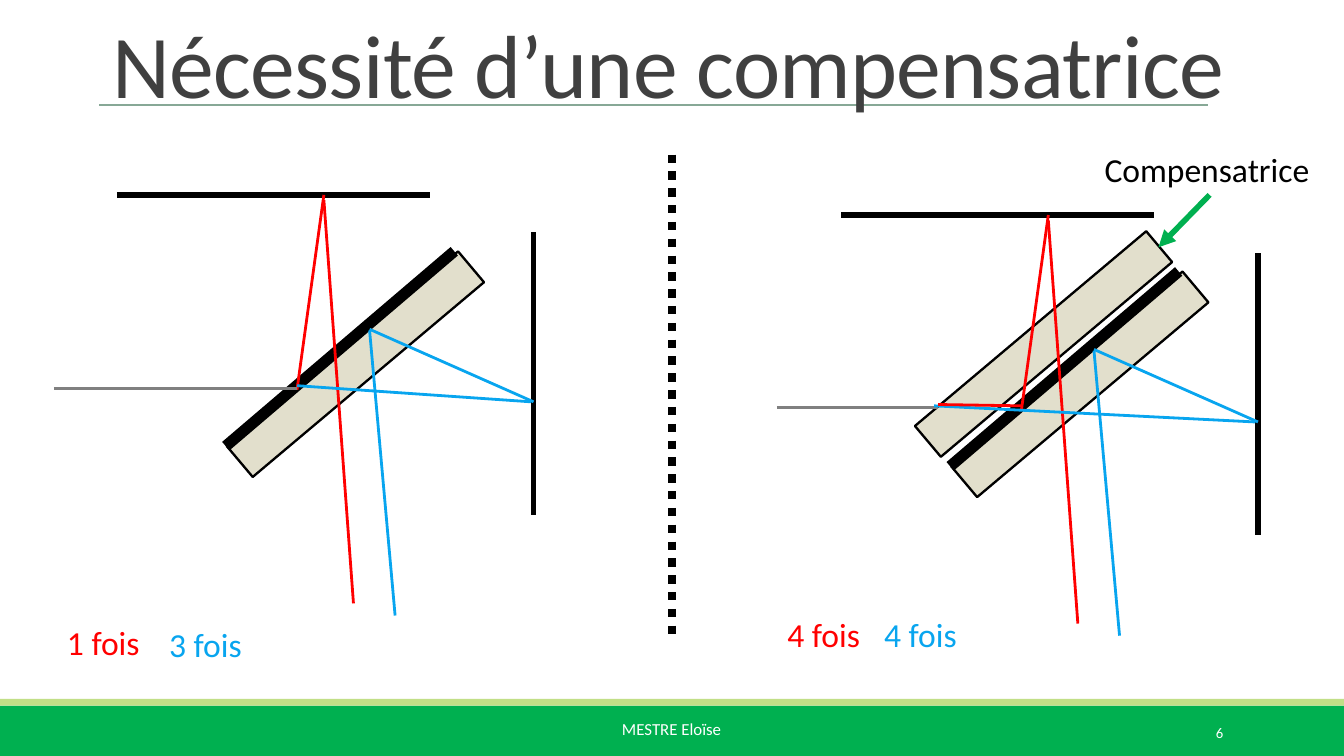
from lxml import etree
from pptx import Presentation
from pptx.dml.color import RGBColor
from pptx.enum.dml import MSO_LINE
from pptx.enum.shapes import MSO_CONNECTOR, MSO_SHAPE
from pptx.enum.text import MSO_ANCHOR, PP_ALIGN
from pptx.oxml.ns import qn
from pptx.util import Inches, Pt

COLORS = {
    "green": "00B050", "light_green": "C1DF87", "rule": "87A896",
    "title": "404040", "white": "FFFFFF", "black": "000000",
    "glass": "E2DFCC", "gray": "808080", "red": "FF0000", "blue": "08A5EF",
}

presentation = Presentation()
presentation.slide_width = Inches(10)
presentation.slide_height = Inches(10 * 9 / 16)
slide = presentation.slides.add_slide(presentation.slide_layouts[6])


def add_line(x1, y1, x2, y2, color, width):
    line = slide.shapes.add_connector(
        MSO_CONNECTOR.STRAIGHT, Inches(x1), Inches(y1), Inches(x2), Inches(y2))
    line.line.color.rgb = RGBColor.from_string(COLORS[color])
    line.line.width = Pt(width)
    etree.SubElement(line._element.spPr, qn("a:effectLst"))
    return line


def add_box(left, top, width, height, fill, outline=None, angle=0):
    box = slide.shapes.add_shape(
        MSO_SHAPE.RECTANGLE, Inches(left), Inches(top), Inches(width), Inches(height))
    box.shadow.inherit = False
    box.rotation = angle
    box.fill.solid()
    box.fill.fore_color.rgb = RGBColor.from_string(COLORS[fill])
    if outline:
        box.line.color.rgb = RGBColor.from_string(COLORS[outline])
        box.line.width = Pt(1.25)
    else:
        box.line.fill.background()


# Footer bands and title rule
add_box(0, 5.25, 10, 0.38, "green")
add_box(0, 5.2, 10, 0.05, "light_green")
add_line(0.74, 0.78, 8.99, 0.78, "rule", 1)

# Interferometer, drawn on both sides: mirrors, then rays
PLATE = (2.25, 0.3, "glass", "black", 319.9)
INTERFEROMETER_LINES = [
    (1.68, 3.32, 3.38, 1.87, "black", 6),
    (0.87, 1.45, 3.2, 1.45, "black", 3),
    (3.97, 3.83, 3.97, 1.73, "black", 3),
    (2.21, 2.9, 2.41, 1.45, "red", 1.5),
    (2.41, 1.49, 2.63, 4.49, "red", 1.5),
    (2.75, 2.45, 3.97, 2.99, "blue", 1.5),
    (2.75, 2.46, 2.94, 4.58, "blue", 1.5),
]
# Offset of each side, and the rays that differ with the compensating plate
SIDES = [
    (0, 0, [(0.4, 2.89, 2.21, 2.89, "gray", 1.5),
            (2.21, 2.87, 3.95, 2.99, "blue", 1.5)]),
    (5.39, 0.15, [(5.78, 3.03, 6.98, 3.03, "gray", 1.5),
                  (6.95, 3.02, 9.34, 3.14, "blue", 1.5),
                  (6.98, 3.01, 7.6, 3.02, "red", 1.5)]),
]
add_box(6.64, 2.41, *PLATE)
for dx, dy, own_rays in SIDES:
    add_box(1.52 + dx, 2.56 + dy, *PLATE)
    for x1, y1, x2, y2, color, width in INTERFEROMETER_LINES:
        add_line(x1 + dx, y1 + dy, x2 + dx, y2 + dy, color, width)
    for ray in own_rays:
        add_line(*ray)

# Divider and pointer to the compensating plate
divider = add_line(5, 1.15, 5, 4.72, "black", 4.5)
divider.line.dash_style = MSO_LINE.ROUND_DOT
pointer = add_line(9, 1.45, 8.62, 1.84, "green", 3)
etree.SubElement(pointer.line._get_or_add_ln(), qn("a:tailEnd"), type="triangle")

# Texts: left, top, width, height, text, size, color, frame and paragraph formats
TEXTS = [
    (0.74, 0.16, 8.94, 0.76, "Nécessité d’une compensatrice", 48, "title",
     {"vertical_anchor": MSO_ANCHOR.BOTTOM}, {"line_spacing": 0.85}),
    (4.53, 5.3, 0.94, 0.45, "MESTRE Eloïse", 9, "white", {"word_wrap": False}, {}),
    (8.12, 5.3, 1.08, 0.3, "6", 7.9, "white",
     {"vertical_anchor": MSO_ANCHOR.MIDDLE}, {"alignment": PP_ALIGN.RIGHT}),
    (0.4, 4.58, 0.8, 0.4, "1 fois", 18, "red", {}, {}),
    (1.16, 4.59, 0.8, 0.4, "3 fois", 18, "blue", {}, {}),
    (5.76, 4.52, 0.8, 0.4, "4 fois", 18, "red", {}, {}),
    (6.48, 4.52, 0.8, 0.4, "4 fois", 18, "blue", {}, {}),
    (8.12, 1.06, 1.94, 0.4, "Compensatrice", 18, "black", {}, {}),
]
for left, top, width, height, text, size, color, frame_format, paragraph_format in TEXTS:
    text_box = slide.shapes.add_textbox(
        Inches(left), Inches(top), Inches(width), Inches(height))
    frame = text_box.text_frame
    for name, value in ({"word_wrap": True} | frame_format).items():
        setattr(frame, name, value)
    paragraph = frame.paragraphs[0]
    for name, value in paragraph_format.items():
        setattr(paragraph, name, value)
    run = paragraph.add_run()
    run.text = text
    for name, value in {"name": "Calibri", "size": Pt(size)}.items():
        setattr(run.font, name, value)
    run.font.color.rgb = RGBColor.from_string(COLORS[color])
    if color == "title":
        run._r.get_or_add_rPr().set("spc", "-40")

presentation.save("out.pptx")
